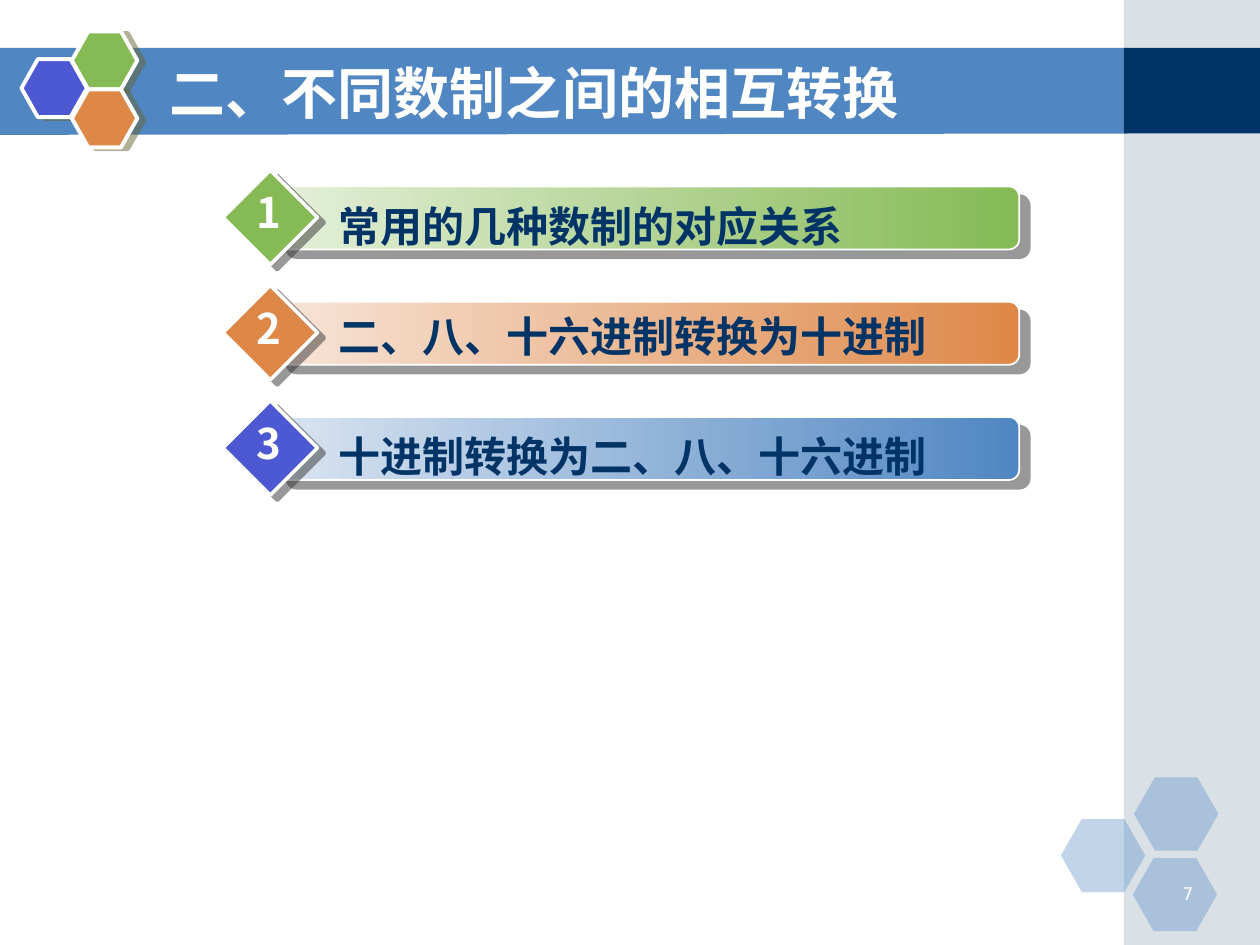
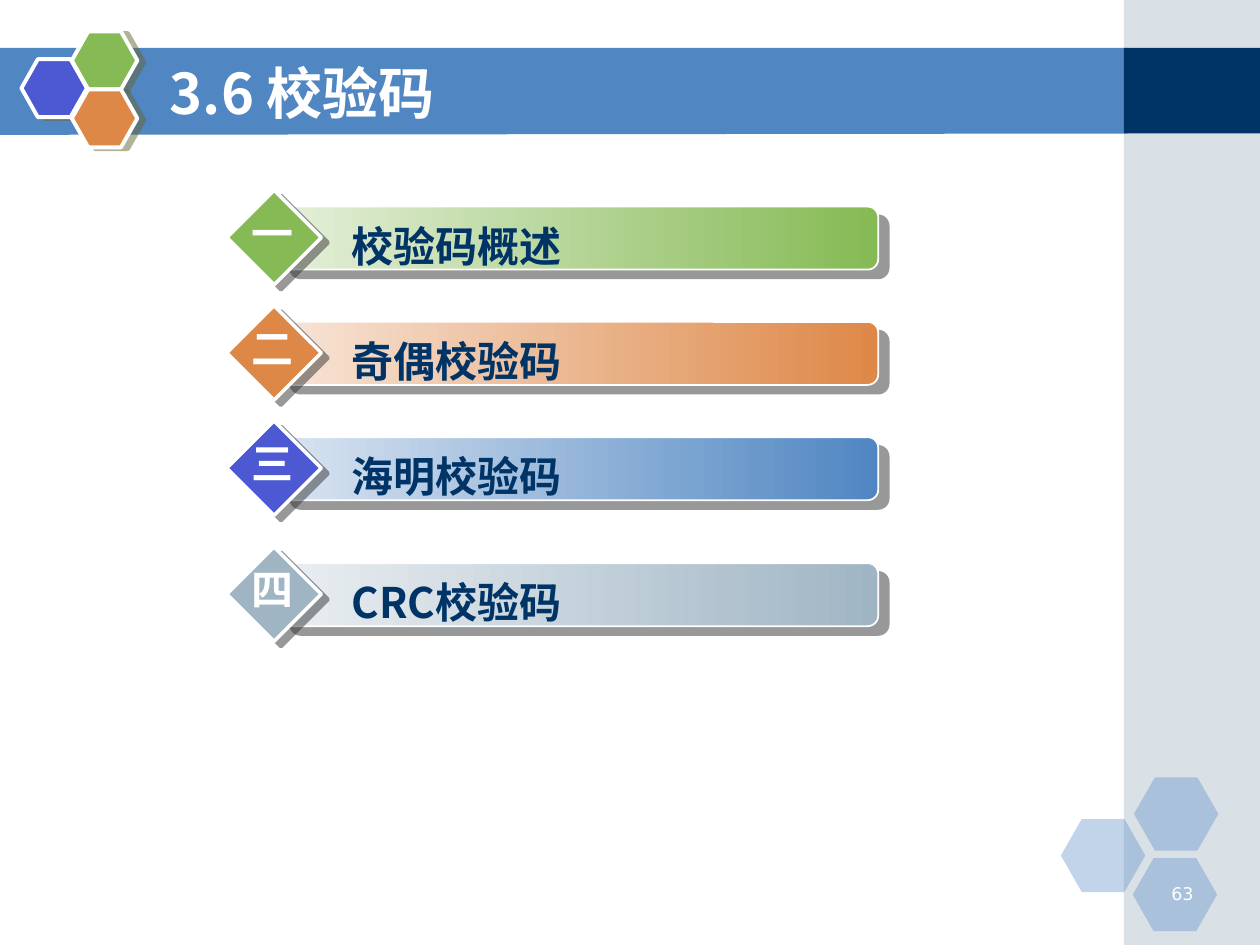
from dataclasses import dataclass

from lxml import etree
from pptx import Presentation, util as u
from pptx.dml.color import RGBColor
from pptx.enum import shapes, text
from pptx.oxml.ns import qn

CELL = u.Inches(0.1)  # the slide is a grid of 100 columns by 75 rows
COLUMNS, ROWS = 100, 75


@dataclass(frozen=True)
class Theme:
    blue: str = "5086C2"
    navy: str = "003366"
    violet: str = "4C59D2"
    green: str = "85BA54"
    orange: str = "DE8848"
    grey: str = "A0B5C4"
    white: str = "FFFFFF"
    font: str = "Noto Sans CJK SC"
    number_font: str = "DejaVu Sans"
    title_size: int = 32
    item_size: int = 24
    number_size: int = 10


THEME = Theme()

# Badge colour, then the strong and pale ends of the bar
ITEM_COLOURS = [
    (THEME.green, THEME.green, "E4EFD9"),
    (THEME.orange, THEME.orange, "F7E4D7"),
    (THEME.violet, THEME.blue, "D9E4F1"),
    (THEME.grey, THEME.grey, "E9EEF1"),
]

# Colour, distance in points, direction in degrees
LOGO_SHADOW = ("666633", 4.1, 14)
BAR_SHADOW = ("333333", 7.8, 40)
BADGE_SHADOW = ("333333", 5, 37)


@dataclass(frozen=True)
class ItemList:
    """Place of a list of items, in grid cells."""
    left: float
    top: float
    bar_width: float
    label_indent: float
    pitch: float = 9.15


def cells(*values):
    return [round(value * CELL) for value in values]


def rgb(colour):
    return RGBColor.from_string(colour)


def paint(shape, colour, opacity=100):
    """Give a plain fill, without outline or shadow."""
    shape.shadow.inherit = False
    shape.line.fill.background()
    shape.fill.solid()
    shape.fill.fore_color.rgb = rgb(colour)
    if opacity < 100:
        colour_element = shape._element.spPr.find(".//" + qn("a:srgbClr"))
        etree.SubElement(colour_element, qn("a:alpha"), val=str(opacity * 1000))


def add_block(slide, kind, place, colour, opacity=100, adjustments=()):
    shape = slide.shapes.add_shape(kind, *cells(*place))
    for index, value in enumerate(adjustments):
        shape.adjustments[index] = value
    paint(shape, colour, opacity)
    return shape


def raise_block(shape, line_width, shadow):
    """Add a white outline and a hard, half transparent shadow."""
    shape.line.color.rgb = rgb(THEME.white)
    shape.line.width = u.Pt(line_width)
    colour, distance, direction = shadow
    effects = shape._element.spPr.find(qn("a:effectLst"))
    outer = etree.SubElement(
        effects, qn("a:outerShdw"), blurRad="0", dist=str(u.Pt(distance)),
        dir=str(direction * 60000), algn="ctr", rotWithShape="0")
    shade = etree.SubElement(outer, qn("a:srgbClr"), val=colour)
    etree.SubElement(shade, qn("a:alpha"), val="50000")


def add_text(slide, place, words, size, colour, font=THEME.font, bold=True,
             align=text.PP_ALIGN.LEFT, anchor=text.MSO_ANCHOR.TOP, indent=1):
    frame = slide.shapes.add_textbox(*cells(*place)).text_frame
    frame.word_wrap = True
    frame.vertical_anchor = anchor
    frame.margin_left = cells(indent)[0]
    paragraph = frame.paragraphs[0]
    paragraph.text = words
    paragraph.alignment = align
    paragraph.font.name = font
    paragraph.font.size = u.Pt(size)
    paragraph.font.bold = bold
    paragraph.font.color.rgb = rgb(colour)
    etree.SubElement(paragraph.font._element, qn("a:ea"), typeface=font)


def add_title_band(slide):
    left, top, right, bottom = -0.1, 3.8, 89.5, 10.7
    builder = slide.shapes.build_freeform(*cells(left, top))
    corners = [(right, top), (right, bottom - 0.1), (left, bottom)]
    builder.add_line_segments([cells(*corner) for corner in corners])
    paint(builder.convert_to_shape(), THEME.blue)


def add_side_column(slide):
    left = 89.2
    width = COLUMNS - left
    rectangle = shapes.MSO_SHAPE.RECTANGLE
    add_block(slide, rectangle, (left, 0, width, ROWS), THEME.grey, 40)
    add_block(slide, rectangle, (left, 3.8, width, 6.8), THEME.navy)


def add_hexagons(slide):
    hexagon = shapes.MSO_SHAPE.HEXAGON
    for left, top in [(84.2, 65), (90, 61.7), (89.9, 68.1)]:
        add_block(slide, hexagon, (left, top, 6.7, 5.8), THEME.blue, 35, (0.286, 1.155))
    for left, top, colour in [(1.7, 4.7, THEME.violet), (5.7, 2.5, THEME.green),
                              (5.7, 7.1, THEME.orange)]:
        shape = add_block(slide, hexagon, (left, top, 5.2, 4.6), colour,
                          adjustments=(0.283, 1.155))
        raise_block(shape, 2.25, LOGO_SHADOW)


def add_slide(presentation, title, number):
    """Add a slide with the shared decoration, title and page number."""
    slide = presentation.slides.add_slide(presentation.slide_layouts[6])
    add_title_band(slide)
    add_side_column(slide)
    add_hexagons(slide)
    add_text(slide, (12.5, 4.2, 73.3, 6.2), title, THEME.title_size, THEME.white,
             anchor=text.MSO_ANCHOR.MIDDLE)
    add_text(slide, (90.7, 69.6, 5, 2.5), number, THEME.number_size, THEME.white,
             THEME.number_font, bold=False, align=text.PP_ALIGN.RIGHT)
    return slide


def add_item(slide, place, top, mark, label, colours, label_drop):
    badge_colour, strong, pale = colours
    left = place.left
    bar = add_block(slide, shapes.MSO_SHAPE.ROUNDED_RECTANGLE,
                    (left + 4.2, top, place.bar_width, 5), strong)
    bar.fill.gradient()
    bar.fill.gradient_angle = 180
    for stop, colour in zip(bar.fill.gradient_stops, (strong, pale)):
        stop.color.rgb = rgb(colour)
    raise_block(bar, 1, BAR_SHADOW)
    badge = add_block(slide, shapes.MSO_SHAPE.DIAMOND, (left, top - 1.3, 7.5, 7.5),
                      badge_colour)
    raise_block(badge, 2, BADGE_SHADOW)
    add_text(slide, (left + 6.7, top + label_drop, place.bar_width - 3.9, 5), label,
             THEME.item_size, THEME.navy, indent=place.label_indent)
    add_text(slide, (left + 1, top - 0.45, 5.3, 5), mark, THEME.item_size, THEME.white,
             align=text.PP_ALIGN.CENTER)


def add_items(slide, place, items):
    """Stack items of mark, label, extra drop of the row and drop of its label."""
    for row, (item, colours) in enumerate(zip(items, ITEM_COLOURS)):
        mark, label, row_drop, label_drop = item
        top = place.top + row * place.pitch + row_drop
        add_item(slide, place, top, mark, label, colours, label_drop)


def main():
    presentation = Presentation()
    presentation.slide_width, presentation.slide_height = cells(COLUMNS, ROWS)

    conversion = add_slide(presentation, "二、不同数制之间的相互转换", "7")
    add_items(conversion, ItemList(17.7, 14.8, 59, 2.5), [
        ("1", "常用的几种数制的对应关系", 0, 0.6),
        ("2", "二、八、十六进制转换为十进制", 0, 0.2),
        ("3", "十进制转换为二、八、十六进制", 0, 0.6),
    ])

    check_codes = add_slide(presentation, "3.6 校验码", "63")
    add_items(check_codes, ItemList(18, 16.4, 47.5, 3.2), [
        ("一", "校验码概述", 0, 0.6),
        ("二", "奇偶校验码", 0, 0.6),
        ("三", "海明校验码", 0, 0.6),
        ("四", "CRC校验码", 0.85, 0.6),
    ])

    presentation.save("out.pptx")


if __name__ == "__main__":
    main()
